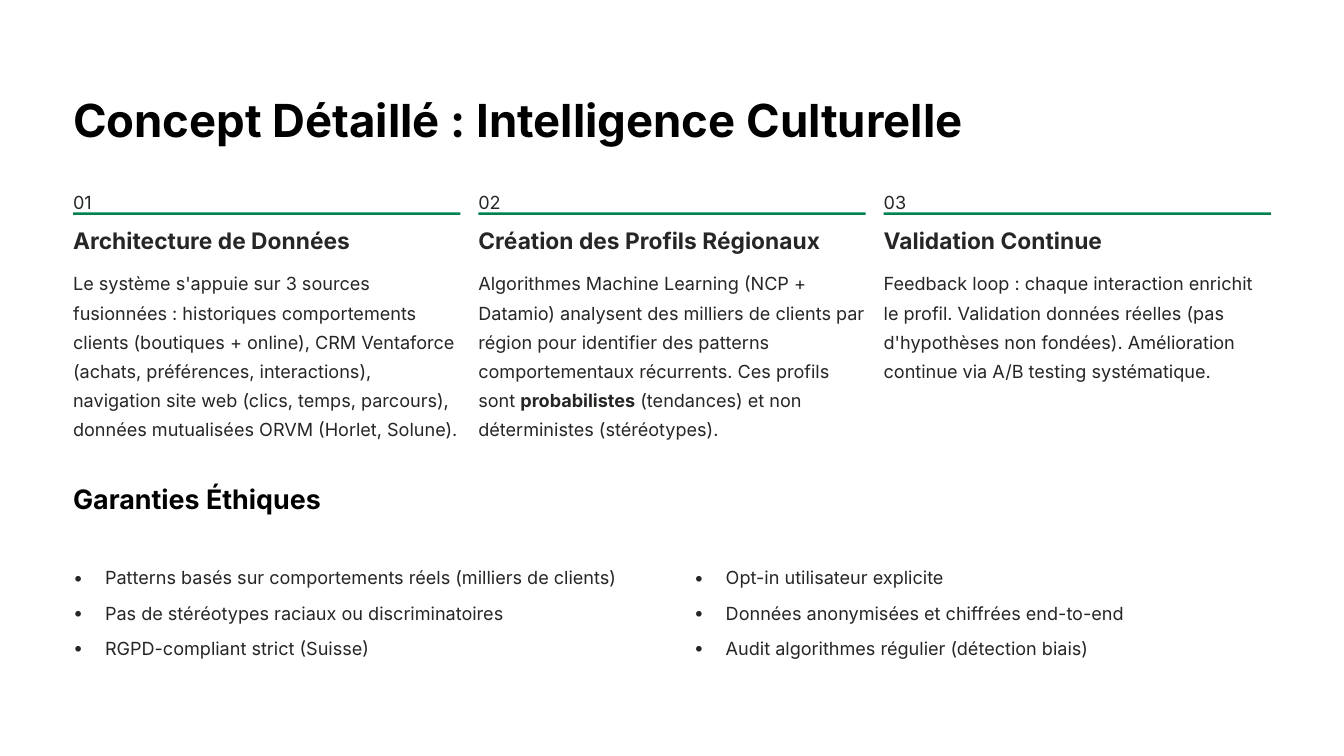
from dataclasses import dataclass

from lxml.etree import SubElement
from pptx import Presentation
from pptx.dml.color import RGBColor
from pptx.enum.shapes import MSO_SHAPE as Shape
from pptx.enum.text import MSO_ANCHOR as Anchor, MSO_AUTO_SIZE as AutoSize, PP_ALIGN as Align
from pptx.oxml.ns import qn
from pptx.util import Inches, Pt

TITLE = "Concept Détaillé : Intelligence Culturelle"
PILLARS = [
    ("01", "Architecture de Données", [
        ("Le système s'appuie sur 3 sources fusionnées : historiques comportements clients "
         "(boutiques + online), CRM Ventaforce (achats, préférences, interactions), navigation "
         "site web (clics, temps, parcours), données mutualisées ORVM (Horlet, Solune).", False)]),
    ("02", "Création des Profils Régionaux", [
        ("Algorithmes Machine Learning (NCP + Datamio) analysent des milliers de clients par "
         "région pour identifier des patterns comportementaux récurrents. Ces profils sont ", False),
        ("probabilistes", True),
        (" (tendances) et non déterministes (stéréotypes).", False)]),
    ("03", "Validation Continue", [
        ("Feedback loop : chaque interaction enrichit le profil. Validation données réelles "
         "(pas d'hypothèses non fondées). Amélioration continue via A/B testing systématique.",
         False)]),
]
ETHICS_TITLE = "Garanties Éthiques"
ETHICS = [
    ["Patterns basés sur comportements réels (milliers de clients)",
     "Pas de stéréotypes raciaux ou discriminatoires",
     "RGPD-compliant strict (Suisse)"],
    ["Opt-in utilisateur explicite",
     "Données anonymisées et chiffrées end-to-end",
     "Audit algorithmes régulier (détection biais)"],
]


@dataclass(frozen=True)
class Style:
    size: float
    leading: float
    color: str
    bold: bool = False


@dataclass(frozen=True)
class Theme:
    font: str = "Inter"
    rule: str = "008150"
    title: Style = Style(39, 48.5, "000000", True)
    section: Style = Style(23, 29, "000000", True)
    heading: Style = Style(19.5, 24, "272525", True)
    body: Style = Style(15.5, 25, "272525")


THEME = Theme()
LEFT, CONTENT_WIDTH = 0.87, 14.26
PILLAR_WIDTH, LIST_WIDTH = 4.61, 6.87
BULLET_INDENT, BULLET_GAP = 0.38, 5.24


def column_lefts(count, width):
    pitch = (CONTENT_WIDTH - width) / (count - 1)
    return [LEFT + index * pitch for index in range(count)]


def place(box, left, top, width, height):
    box.left, box.top, box.width, box.height = map(Inches, (left, top, width, height))
    frame = box.text_frame
    frame.margin_left = frame.margin_right = frame.margin_top = frame.margin_bottom = 0
    frame.auto_size = AutoSize.NONE
    frame.word_wrap = True
    frame.vertical_anchor = Anchor.TOP
    return frame


def write(para, spans, style):
    para.alignment = Align.LEFT
    para.line_spacing = Pt(style.leading)
    para.space_before = para.space_after = Pt(0)
    for text, bold in spans:
        span = para.add_run()
        span.text = text
        span.font.name = THEME.font
        span.font.size = Pt(style.size)
        span.font.bold = bold
        span.font.color.rgb = RGBColor.from_string(style.color)


def add_text(page, area, spans, style):
    box = page.shapes.add_textbox(0, 0, 0, 0)
    write(place(box, *area).paragraphs[0], spans, style)


def add_pillar(page, left, number, heading, spans):
    add_text(page, (left, 2.19, PILLAR_WIDTH, 0.27), [(number, False)], THEME.body)
    rule = page.shapes.add_shape(
        Shape.RECTANGLE, Inches(left), Inches(2.53), Inches(PILLAR_WIDTH), Inches(0.03))
    rule.shadow.inherit = False
    rule.fill.solid()
    rule.fill.fore_color.rgb = RGBColor.from_string(THEME.rule)
    rule.line.fill.background()
    add_text(page, (left, 2.69, PILLAR_WIDTH, 0.34), [(heading, True)], THEME.heading)
    add_text(page, (left, 3.16, PILLAR_WIDTH, 2.08), spans, THEME.body)


def fill_list(box, left, items):
    frame = place(box, left, 6.66, LIST_WIDTH, 1.26)
    for index, item in enumerate(items):
        para = frame.add_paragraph() if index else frame.paragraphs[0]
        write(para, [(item, False)], THEME.body)
        para.space_after = Pt(BULLET_GAP)
        props = para._p.get_or_add_pPr()
        props.set("marL", str(Inches(BULLET_INDENT)))
        props.set("indent", str(-Inches(BULLET_INDENT)))
        SubElement(props, qn("a:buFont"), typeface=THEME.font)
        SubElement(props, qn("a:buChar"), char="•")


def main():
    """Build the cultural intelligence slide and save it."""
    deck = Presentation()
    deck.slide_width, deck.slide_height = Inches(16), Inches(9)
    page = deck.slides.add_slide(deck.slide_layouts[3])
    title = place(page.shapes.title, LEFT, 1.07, CONTENT_WIDTH, 0.68)
    write(title.paragraphs[0], [(TITLE, True)], THEME.title)
    for left, pillar in zip(column_lefts(len(PILLARS), PILLAR_WIDTH), PILLARS):
        add_pillar(page, left, *pillar)
    add_text(page, (LEFT, 5.73, CONTENT_WIDTH, 0.41), [(ETHICS_TITLE, True)], THEME.section)
    list_lefts = column_lefts(len(ETHICS), LIST_WIDTH)
    for index, (left, items) in enumerate(zip(list_lefts, ETHICS), start=1):
        fill_list(page.placeholders[index], left, items)
    deck.save("out.pptx")


if __name__ == "__main__":
    main()
